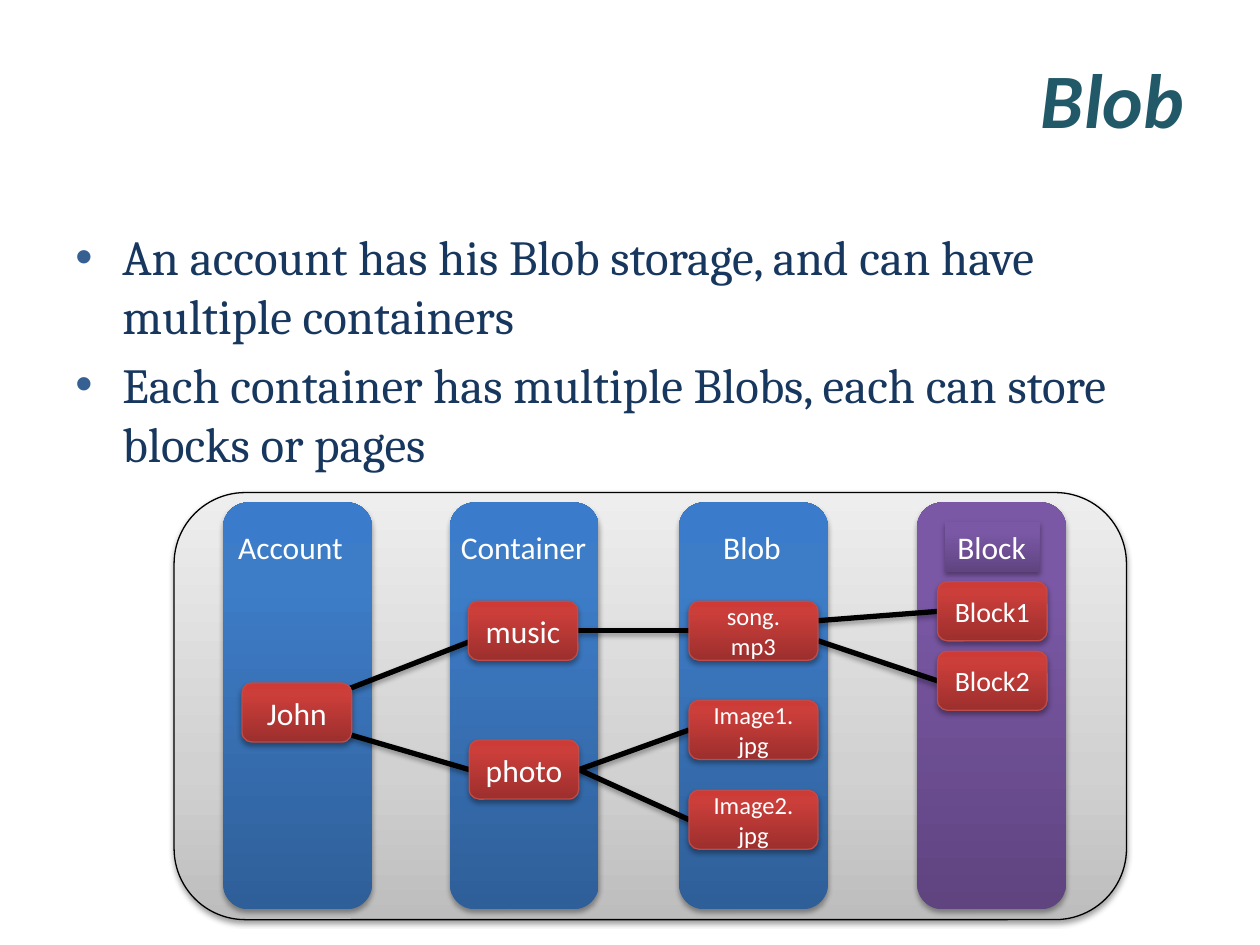
from lxml import etree
from pptx import Presentation
from pptx.dml.color import RGBColor
from pptx.enum.shapes import MSO_CONNECTOR, MSO_SHAPE
from pptx.enum.text import MSO_ANCHOR, MSO_AUTO_SIZE, PP_ALIGN
from pptx.oxml.ns import qn
from pptx.util import Cm, Pt

ROUNDED, RECT = MSO_SHAPE.ROUNDED_RECTANGLE, MSO_SHAPE.RECTANGLE
STRAIGHT = MSO_CONNECTOR.STRAIGHT
LEFT, CENTER, RIGHT = PP_ALIGN.LEFT, PP_ALIGN.CENTER, PP_ALIGN.RIGHT
TOP, MIDDLE = MSO_ANCHOR.TOP, MSO_ANCHOR.MIDDLE

# Content; all lengths in cm
TITLE = "Blob"
BULLETS = [
    "An account has his Blob storage, and can have multiple containers",
    "Each container has multiple Blobs, each can store blocks or pages",
]
GREY = [(0, "BDBDBD"), (35, "D1D1D1"), (100, "EEEEEE")]
BLUE = [(0, "2F5F99"), (80, "3D7CC7"), (100, "3A7CCB")]
PURPLE = [(0, "5F4480"), (80, "7B58A6"), (100, "7C57A8")]
RED = [(0, "9C2F2D"), (80, "CB3E3A"), (100, "CE3B37")]

PANEL = (3.51, 9.93, 19.2, 8.61)
COLUMN_TOP, COLUMN_WIDTH, COLUMN_HEIGHT = 10.13, 3, 8.2
LABEL_TOP, LABEL_HEIGHT = 10.52, 1.02
# column left, label, label left, label width, gradient, label filled
COLUMNS = [
    (4.5, "Account", 4.55, 2.64, BLUE, False),
    (9.07, "Container", 9.04, 3.07, BLUE, False),
    (13.69, "Blob", 14.33, 1.68, BLUE, False),
    (18.49, "Block", 19.05, 1.91, PURPLE, True),
]
ITEM_HEIGHT = 1.19
# item: lines, left, top, width, text size
ITEMS = {
    "John": (["John"], 4.88, 13.77, 2.21, 18),
    "music": (["music"], 9.44, 12.12, 2.21, 18),
    "photo": (["photo"], 9.46, 14.92, 2.21, 18),
    "song": (["song.", "mp3"], 13.89, 12.12, 2.6, 14),
    "Image1": (["Image1.", "jpg"], 13.89, 14.12, 2.6, 14),
    "Image2": (["Image2.", "jpg"], 13.89, 15.93, 2.6, 14),
    "Block1": (["Block1"], 18.9, 11.73, 2.21, 16),
    "Block2": (["Block2"], 18.9, 13.13, 2.21, 16),
}
# each end: item, share of its width, share of its height
LINKS = [
    (("John", 0.46, 0.47), ("music", 0.02, 0.68)),
    (("John", 0.55, 0.64), ("photo", 0, 0.5)),
    (("photo", 1, 0.5), ("Image1", 0, 0.5)),
    (("photo", 1, 0.5), ("Image2", 0, 0.5)),
    (("music", 1, 0.5), ("song", 0, 0.5)),
    (("song", 1, 0.33), ("Block1", 0, 0.5)),
    (("song", 1, 0.67), ("Block2", 0, 0.5)),
]


def rgb(value):
    return RGBColor.from_string(value)


def cm(*lengths):
    return [Cm(length) for length in lengths]


def child(parent, tag, **attributes):
    return etree.SubElement(parent, qn(tag), {k: str(v) for k, v in attributes.items()})


def add_shadow(shape, opacity=35, distance=1.8):
    effects = child(shape.element.spPr, "a:effectLst")
    shadow = child(effects, "a:outerShdw", blurRad=Pt(3.1), dist=Pt(distance),
                   dir=5400000, rotWithShape=0)
    color = child(shadow, "a:srgbClr", val="000000")
    child(color, "a:alpha", val=opacity * 1000)


def set_line(line, color, width):
    line.color.rgb = rgb(color)
    line.width = Pt(width)


def fill_gradient(shape, stops):
    shape.fill.gradient()
    shape.fill.gradient_angle = 90
    stop_list = shape.element.spPr.find(qn("a:gradFill")).find(qn("a:gsLst"))
    for old in list(stop_list):
        stop_list.remove(old)
    for position, color in stops:
        stop = child(stop_list, "a:gs", pos=position * 1000)
        child(stop, "a:srgbClr", val=color)


def add_block(shapes, kind, box, stops, line=None, **shadow):
    block = shapes.add_shape(kind, *cm(*box))
    fill_gradient(block, stops)
    if line:
        set_line(block.line, line, 0.75)
    else:
        block.line.fill.background()
    add_shadow(block, **shadow)
    return block


def write(shape, lines, size, color="FFFFFF", font="Calibri", align=LEFT,
          anchor=TOP, wrap=True, bullet=None, before=0, **extra):
    frame = shape.text_frame
    frame.word_wrap = wrap
    frame.vertical_anchor = anchor
    formats = {"name": font, "size": Pt(size), **extra}
    for index, line in enumerate(lines):
        paragraph = frame.add_paragraph() if index else frame.paragraphs[0]
        paragraph.text = line
        paragraph.alignment = align
        if bullet:
            properties = paragraph._p.get_or_add_pPr()
            properties.set("marL", str(Cm(0.95)))
            properties.set("indent", str(-Cm(0.95)))
            child(child(properties, "a:buClr"), "a:srgbClr", val=bullet)
            child(properties, "a:buFont", typeface="Arial")
            child(properties, "a:buChar", char="•")
        if index:
            paragraph.space_before = Pt(before)
        for name, value in formats.items():
            setattr(paragraph.font, name, value)
        paragraph.font.color.rgb = rgb(color)


def link_end(item, across, down):
    _, left, top, width, _ = ITEMS[item]
    return cm(left + across * width, top + down * ITEM_HEIGHT)


presentation = Presentation()
presentation.slide_width, presentation.slide_height = cm(25.4, 19.05)
slide = presentation.slides.add_slide(presentation.slide_layouts[5])

# Panel behind the diagram
add_block(slide.shapes, ROUNDED, PANEL, GREY, "000000", opacity=38, distance=1.6)

# Title and bullets
title = slide.shapes.title
title.left, title.top, title.width, title.height = cm(1.27, 0.76, 22.86, 2.41)
write(title, [TITLE], 44, "215968", align=RIGHT, anchor=MIDDLE, bold=True, italic=True)
body = slide.shapes.add_textbox(*cm(1.27, 4.45, 22.86, 12.57))
write(body, BULLETS, 28, "17375E", "Cambria", bullet="376092", before=5.6)

# Columns with their labels
for left, label, label_left, label_width, stops, filled in COLUMNS:
    column = slide.shapes.add_group_shape().shapes
    add_block(column, ROUNDED, (left, COLUMN_TOP, COLUMN_WIDTH, COLUMN_HEIGHT), stops)
    label_box = (label_left, LABEL_TOP, label_width, LABEL_HEIGHT)
    if filled:
        heading = add_block(column, RECT, label_box, stops)
    else:
        heading = column.add_textbox(*cm(*label_box))
    write(heading, [label], 18, wrap=False)
    heading.text_frame.auto_size = MSO_AUTO_SIZE.SHAPE_TO_FIT_TEXT

# Links, then the items they join
for start, end in LINKS:
    link = slide.shapes.add_connector(STRAIGHT, *link_end(*start), *link_end(*end))
    set_line(link.line, "000000", 3)
    add_shadow(link)
for lines, left, top, width, size in ITEMS.values():
    item = add_block(slide.shapes, ROUNDED, (left, top, width, ITEM_HEIGHT), RED, "BF4C48")
    write(item, lines, size, align=CENTER, anchor=MIDDLE)

presentation.save("out.pptx")
